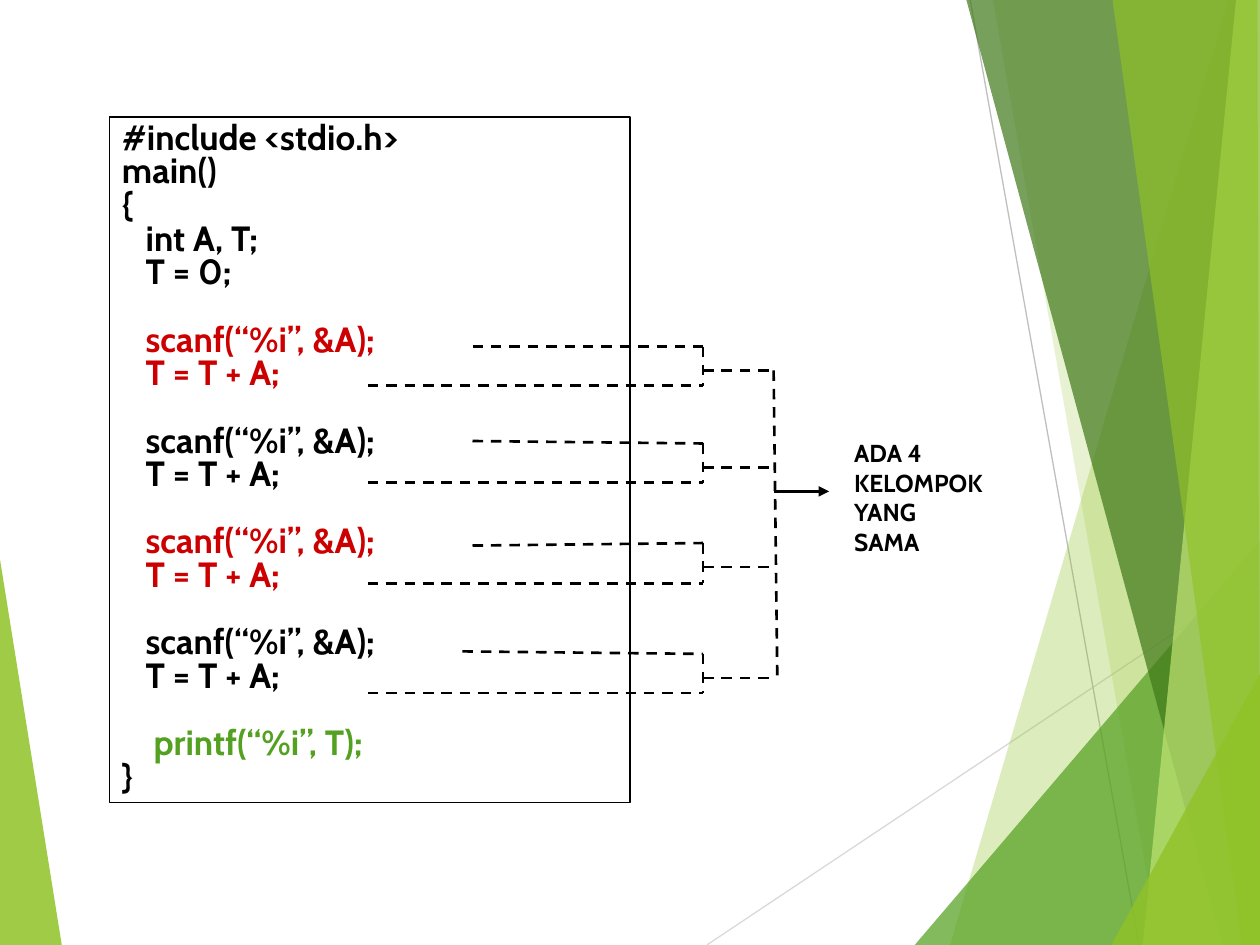
import pptx
import pptx.dml.color
import pptx.enum.dml
import pptx.enum.shapes
import pptx.enum.text
import pptx.oxml.ns
import pptx.util
from pptx.util import Inches

COLORS = {
    "black": "000000", "red": "CC0000", "green": "54A021", "lime": "90C226",
    "forest": "3F7819", "pale": "C0E474", "gray": "BFBFBF", "light gray": "D9D9D9",
}
FONT = "Cabin"


class SlideBuilder:
    def __init__(self, slide):
        self.slide = slide

    def color(self, name):
        return pptx.dml.color.RGBColor.from_string(COLORS[name])

    def polygon(self, points, color, opacity):
        corners = [(Inches(x), Inches(y)) for x, y in points]
        builder = self.slide.shapes.build_freeform(*corners[0], scale=1.0)
        builder.add_line_segments(corners[1:], close=True)
        shape = builder.convert_to_shape()
        shape.shadow.inherit = False
        shape.line.fill.background()
        shape.fill.solid()
        shape.fill.fore_color.rgb = self.color(color)
        rgb = shape._element.spPr.find(".//" + pptx.oxml.ns.qn("a:srgbClr"))
        alpha = rgb.makeelement(pptx.oxml.ns.qn("a:alpha"), {"val": str(opacity * 1000)})
        rgb.append(alpha)

    def line(self, start, end, color="black", width=1.5, dashed=False, arrow=False):
        connector = self.slide.shapes.add_connector(
            pptx.enum.shapes.MSO_CONNECTOR.STRAIGHT,
            *(Inches(value) for value in (*start, *end)))
        connector.line.color.rgb = self.color(color)
        connector.line.width = pptx.util.Pt(width)
        if dashed:
            connector.line.dash_style = pptx.enum.dml.MSO_LINE.DASH
        properties = connector._element.spPr
        if arrow:
            outline = properties.find(pptx.oxml.ns.qn("a:ln"))
            outline.append(outline.makeelement(
                pptx.oxml.ns.qn("a:tailEnd"), {"type": "triangle"}))
        properties.append(properties.makeelement(pptx.oxml.ns.qn("a:effectLst"), {}))

    def rectangle(self, left, top, width, height):
        shape = self.slide.shapes.add_shape(
            pptx.enum.shapes.MSO_SHAPE.RECTANGLE,
            Inches(left), Inches(top), Inches(width), Inches(height))
        shape.shadow.inherit = False
        shape.fill.background()
        shape.line.color.rgb = self.color("black")
        shape.line.width = pptx.util.Pt(0.75)
        return shape

    def text_box(self, left, top, width, height):
        return self.slide.shapes.add_textbox(
            Inches(left), Inches(top), Inches(width), Inches(height))

    def add_lines(self, shape, lines, size, spacing=1.0):
        """Each line is (text, color, space before in points)."""
        frame = shape.text_frame
        frame.word_wrap = True
        frame.vertical_anchor = pptx.enum.text.MSO_ANCHOR.TOP
        for index, (text, color, gap) in enumerate(lines):
            paragraph = frame.add_paragraph() if index else frame.paragraphs[0]
            paragraph.alignment = pptx.enum.text.PP_ALIGN.LEFT
            paragraph.line_spacing = spacing
            if gap:
                paragraph.space_before = pptx.util.Pt(gap)
            run = paragraph.add_run()
            run.text = text
            run.font.name = FONT
            run.font.size = pptx.util.Pt(size)
            run.font.bold = True
            run.font.color.rgb = self.color(color)


def main():
    presentation = pptx.Presentation()
    presentation.slide_width = Inches(10)
    presentation.slide_height = Inches(7.5)
    slide = presentation.slides.add_slide(presentation.slide_layouts[6])
    builder = SlideBuilder(slide)

    # Background facets
    builder.polygon([(0, 4.44), (0.49, 7.5), (0, 7.5)], "lime", 85)
    builder.line((5.61, 7.5), (10, 4.57), "light gray", 0.75)
    builder.line((7.7, 0), (9.04, 7.5), "gray", 0.75)
    facets = [
        ([(9.75, 0), (7.54, 7.5), (10, 7.5), (10, 0)], "lime", 30),
        ([(7.88, 0), (9.2, 7.5), (10, 7.5), (10, 0)], "lime", 20),
        ([(7.26, 7.5), (10, 4.29), (10, 7.5)], "green", 72),
        ([(7.67, 0), (9.7, 7.5), (10, 7.5), (10, 0)], "forest", 70),
        ([(9.81, 0), (9.07, 7.5), (10, 7.5), (10, 0)], "pale", 70),
        ([(8.83, 0), (9.86, 7.5), (10, 7.5), (9.98, 0)], "lime", 65),
        ([(8.82, 7.5), (10, 5.35), (10, 7.5)], "lime", 80),
    ]
    for points, color, opacity in facets:
        builder.polygon(points, color, opacity)

    # Program listing, with one line of space before each group
    line_gap = 19.25
    code = [(text, "black", 0) for text in
            ("#include <stdio.h>", "main()", "{", "   int A, T;", "   T = 0;")]
    for color in ("red", "black") * 2:
        code += [("   scanf(“%i”, &A);", color, line_gap),
                 ("   T = T + A;", color, 0)]
    code += [("    printf(“%i”, T);", "green", line_gap), ("}", "black", 0)]
    builder.add_lines(builder.rectangle(0.87, 0.93, 4.13, 5.44), code, 20, 0.8)

    # Brackets: start of upper line, then heights of its corner, lower line, branch
    bracket_x, spine_x = 5.58, 6.14
    brackets = [
        ((3.75, 2.75), 2.75, 3.06, 2.94),
        ((3.75, 3.5), 3.52, 3.83, 3.71),
        ((3.75, 4.33), 4.31, 4.63, 4.5),
        ((3.67, 5.17), 5.19, 5.5, 5.38),
    ]
    for start, top, bottom, branch in brackets:
        builder.line(start, (bracket_x, top), dashed=True)
        builder.line((2.92, bottom), (bracket_x, bottom), dashed=True)
        builder.line((bracket_x, top), (bracket_x, bottom), dashed=True)
        builder.line((bracket_x, branch), (spine_x, branch), dashed=True)
    builder.line((spine_x, 2.94), (6.17, 5.42), dashed=True)

    # Conclusion
    builder.line((spine_x, 3.9), (6.58, 3.9), arrow=True)
    words = [(word, "black", 0) for word in ("ADA 4", "KELOMPOK", "YANG", "SAMA")]
    builder.add_lines(builder.text_box(6.68, 3.43, 1.29, 1.04), words, 14)

    presentation.save("out.pptx")


if __name__ == "__main__":
    main()
